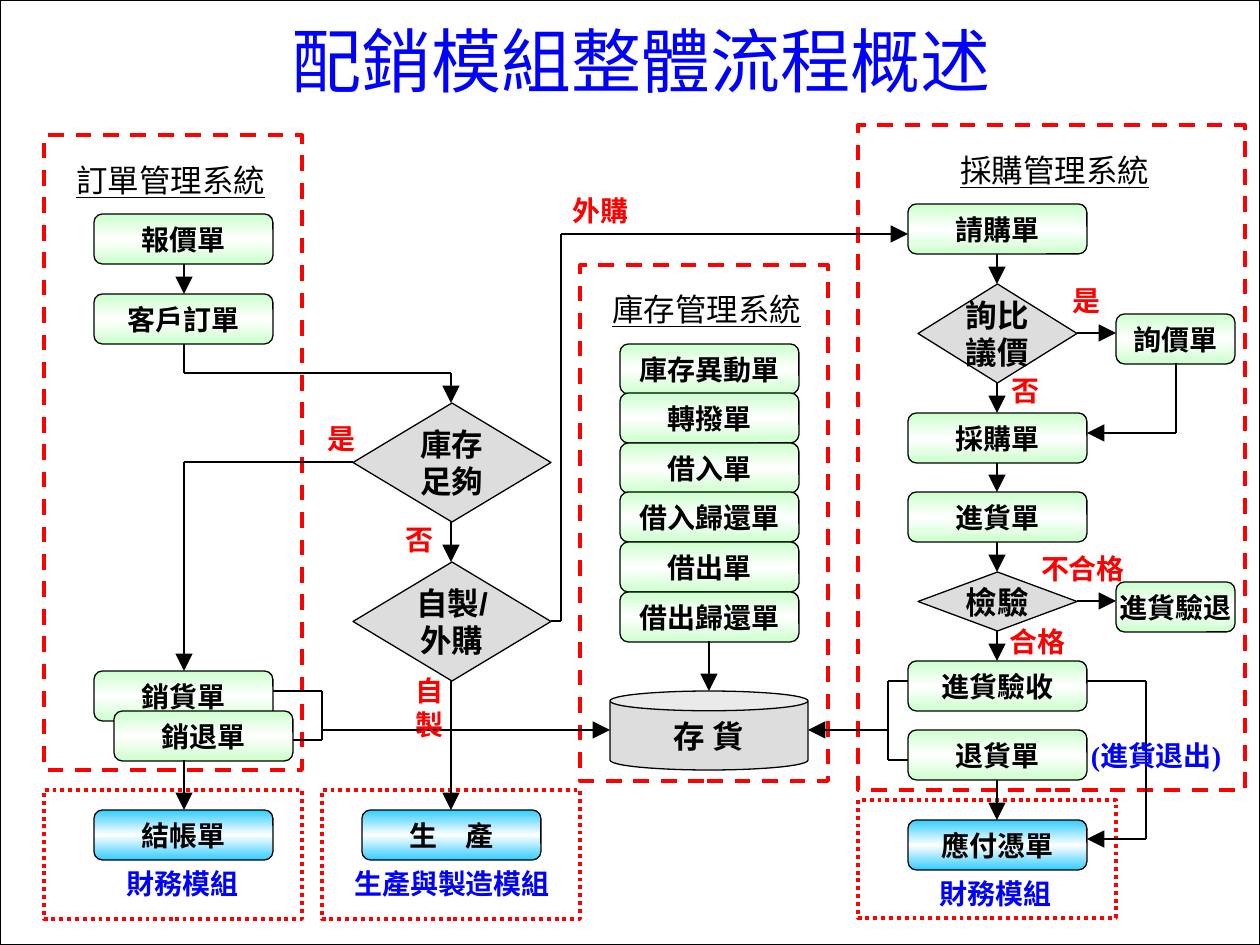
"""Builds the flow overview slide of the distribution modules."""
from copy import deepcopy
from dataclasses import dataclass
from itertools import pairwise

from lxml.etree import SubElement
from pptx import Presentation
from pptx.dml.color import RGBColor
from pptx.enum.dml import MSO_LINE as Dash
from pptx.enum.shapes import MSO_CONNECTOR as Connector, MSO_SHAPE as Preset
from pptx.enum.text import MSO_ANCHOR as Anchor, MSO_AUTO_SIZE as AutoSize, PP_ALIGN as Align
from pptx.oxml.ns import qn
from pptx.util import Emu, Pt


@dataclass(frozen=True)
class Theme:
    black: str = "000000"
    white: str = "FFFFFF"
    red: str = "FF0000"
    blue: str = "0000FF"
    grey: str = "DDDDDD"
    green: str = "CCFFCC"
    sky: str = "33CCFF"
    sans: str = "Arial"
    serif: str = "Times New Roman"
    cjk: str = "Noto Sans CJK SC"
    title: int = 40
    heading: int = 18
    label: int = 16
    thin: float = 0.75
    arrow: float = 1.5
    frame: float = 2.25


theme = Theme()
SCALE = 914400 / 126
NODE_WIDTH, NODE_HEIGHT = 179, 50


def px(*lengths):
    return [Emu(round(length * SCALE)) for length in lengths]


def write(shape, text, face, size, color, bold=True, underline=None, align=Align.CENTER):
    frame = shape.text_frame
    frame.text = text
    frame.vertical_anchor = Anchor.MIDDLE
    frame.word_wrap = False
    for paragraph in frame.paragraphs:
        paragraph.alignment = align
        font = paragraph.font
        font.name, font.size, font.bold, font.underline = face, Pt(size), bold, underline
        font.color.rgb = RGBColor.from_string(color)


presentation = Presentation()
presentation.slide_width, presentation.slide_height = px(1260, 945)
slide = presentation.slides.add_slide(presentation.slide_layouts[5])
shapes = slide.shapes

page = shapes.add_shape(Preset.RECTANGLE, *px(0, 0, 1260, 945))
page.shadow.inherit = False
page.fill.solid()
page.fill.fore_color.rgb = RGBColor.from_string(theme.white)
page.line.color.rgb = RGBColor.from_string(theme.black)
page.line.width = Pt(theme.thin)

title = shapes.title
title.left, title.top, title.width, title.height = px(74, 0, 1134, 118)
write(title, "配銷模組整體流程概述", theme.serif, theme.title, theme.blue, bold=False)
title.text_frame.word_wrap = True
title.text_frame.auto_size = AutoSize.NONE
page._element.addnext(title._element)

frames = [
    (Dash.DASH, 44, 135, 258, 635),
    (Dash.DASH, 580, 265, 248, 516),
    (Dash.DASH, 858, 125, 387, 665),
    (Dash.ROUND_DOT, 44, 790, 258, 129),
    (Dash.ROUND_DOT, 322, 790, 258, 129),
    (Dash.ROUND_DOT, 858, 800, 258, 118),
]
for dash, *bounds in frames:
    border = shapes.add_shape(Preset.RECTANGLE, *px(*bounds))
    border.shadow.inherit = False
    border.fill.background()
    border.line.color.rgb = RGBColor.from_string(theme.red)
    border.line.width = Pt(theme.frame)
    border.line.dash_style = dash

stock_forms = ["庫存異動單", "轉撥單", "借入單", "借入歸還單", "借出單", "借出歸還單"]
documents = [
    ("報價單", 94, 214, NODE_WIDTH, theme.green),
    ("客戶訂單", 94, 294, NODE_WIDTH, theme.green),
    ("銷貨單", 94, 671, NODE_WIDTH, theme.green),
    ("銷退單", 114, 711, NODE_WIDTH, theme.green),
    ("請購單", 908, 204, NODE_WIDTH, theme.green),
    ("採購單", 908, 413, NODE_WIDTH, theme.green),
    ("進貨單", 908, 492, NODE_WIDTH, theme.green),
    ("進貨驗收", 908, 661, NODE_WIDTH, theme.green),
    ("退貨單", 908, 730, NODE_WIDTH, theme.green),
    ("詢價單", 1116, 314, 119, theme.green),
    ("進貨驗退", 1116, 582, 119, theme.green),
    ("結帳單", 94, 810, NODE_WIDTH, theme.sky),
    ("生　產", 362, 810, NODE_WIDTH, theme.sky),
    ("應付憑單", 908, 820, NODE_WIDTH, theme.sky),
]
for row, form in enumerate(stock_forms):
    documents.append((form, 620, 344 + row * 248 // 5, NODE_WIDTH, theme.green))
for text, left, top, width, color in documents:
    node = shapes.add_shape(Preset.ROUNDED_RECTANGLE, *px(left, top, width, NODE_HEIGHT))
    node.shadow.inherit = False
    node.fill.gradient()
    node.fill.gradient_angle = 90
    stop_list = node._element.spPr.find(f".//{qn('a:gsLst')}")
    stop_list.append(deepcopy(stop_list[0]))
    for stop, position, shade in zip(node.fill.gradient_stops, (0, 0.5, 1), (color, theme.white, color)):
        stop.position = position
        stop.color.rgb = RGBColor.from_string(shade)
    node.line.color.rgb = RGBColor.from_string(theme.black)
    node.line.width = Pt(theme.thin)
    write(node, text, theme.sans, theme.label, theme.black)

decision = Preset.FLOWCHART_DECISION
grey_nodes = [
    (decision, "庫存\n足夠", theme.sans, 353, 403, 198, 119),
    (decision, "自製/\n外購", theme.sans, 353, 562, 198, 119),
    (decision, "詢比\n議價", theme.sans, 918, 284, 159, 99),
    (decision, "檢驗", theme.sans, 918, 572, 159, 59),
    (Preset.CAN, "存 貨", theme.cjk, 610, 691, 198, 79),
]
for preset, text, face, *bounds in grey_nodes:
    node = shapes.add_shape(preset, *px(*bounds))
    node.shadow.inherit = False
    node.fill.solid()
    node.fill.fore_color.rgb = RGBColor.from_string(theme.grey)
    node.line.color.rgb = RGBColor.from_string(theme.black)
    node.line.width = Pt(theme.thin)
    write(node, text, face, theme.heading, theme.black)

arrows = [
    [(184, 264), (184, 294)],
    [(184, 344), (184, 373), (451, 373), (451, 403)],
    [(353, 462), (184, 462), (184, 671)],
    [(184, 760), (184, 810)],
    [(451, 522), (451, 562)],
    [(451, 681), (451, 810)],
    [(551, 621), (561, 621), (561, 234), (908, 234)],
    [(322, 730), (610, 730)],
    [(709, 641), (709, 691)],
    [(888, 730), (808, 730)],
    [(997, 254), (997, 284)],
    [(997, 383), (997, 413)],
    [(997, 463), (997, 492)],
    [(997, 542), (997, 572)],
    [(997, 631), (997, 661)],
    [(997, 780), (997, 820)],
    [(1077, 333), (1116, 333)],
    [(1077, 601), (1116, 601)],
    [(1176, 363), (1176, 433), (1087, 433)],
    [(1087, 681), (1146, 681), (1146, 839), (1087, 839)],
]
brackets = [
    [(273, 691), (322, 691), (322, 740), (293, 740)],
    [(908, 681), (888, 681), (888, 760), (908, 760)],
]
for route in arrows + brackets:
    for start, end in pairwise(route):
        connector = shapes.add_connector(Connector.STRAIGHT, *px(*start, *end))
        connector.line.color.rgb = RGBColor.from_string(theme.black)
        connector.line.width = Pt(theme.arrow)
        properties = connector._element.spPr
        if route in arrows and end == route[-1]:
            SubElement(properties.find(qn("a:ln")), qn("a:tailEnd"), type="triangle", w="lg", len="lg")
        SubElement(properties, qn("a:effectLst"))

labels = [
    ("是", theme.sans, theme.red, 302, 413, 79, 50),
    ("否", theme.sans, theme.red, 380, 514, 79, 50),
    ("自\n製", theme.sans, theme.red, 409, 668, 40, 79),
    ("外購", theme.sans, theme.red, 561, 185, 79, 50),
    ("是", theme.sans, theme.red, 1047, 275, 79, 50),
    ("否", theme.sans, theme.red, 986, 365, 79, 50),
    ("不合格", theme.sans, theme.red, 1033, 543, 100, 50),
    ("合格", theme.sans, theme.red, 998, 616, 79, 50),
    ("(進貨退出)", theme.serif, theme.blue, 1076, 730, 160, 50),
]
for text, face, color, *bounds in labels:
    label = shapes.add_textbox(*px(*bounds))
    write(label, text, face, theme.label, color)
    label.text_frame.margin_left = label.text_frame.margin_right = 0

captions = [
    ("財務模組", 114, 860, 149),
    ("生產與製造模組", 342, 860, 228),
    ("財務模組", 927, 870, 149),
]
headings = [
    ("訂單管理系統", 64, 155, 258),
    ("庫存管理系統", 600, 284, 258),
    ("採購管理系統", 948, 145, 258),
]
module_style = (47, theme.serif, theme.label, theme.blue, True, None)
system_style = (50, theme.sans, theme.heading, theme.black, False, True)
for entries, (height, *style) in ((captions, module_style), (headings, system_style)):
    for text, left, top, width in entries:
        box = shapes.add_textbox(*px(left, top, width, height))
        write(box, text, *style, align=Align.LEFT)
        box.text_frame.vertical_anchor = Anchor.TOP
        box.text_frame.word_wrap = True
        box.text_frame.auto_size = AutoSize.SHAPE_TO_FIT_TEXT

presentation.save("out.pptx")
